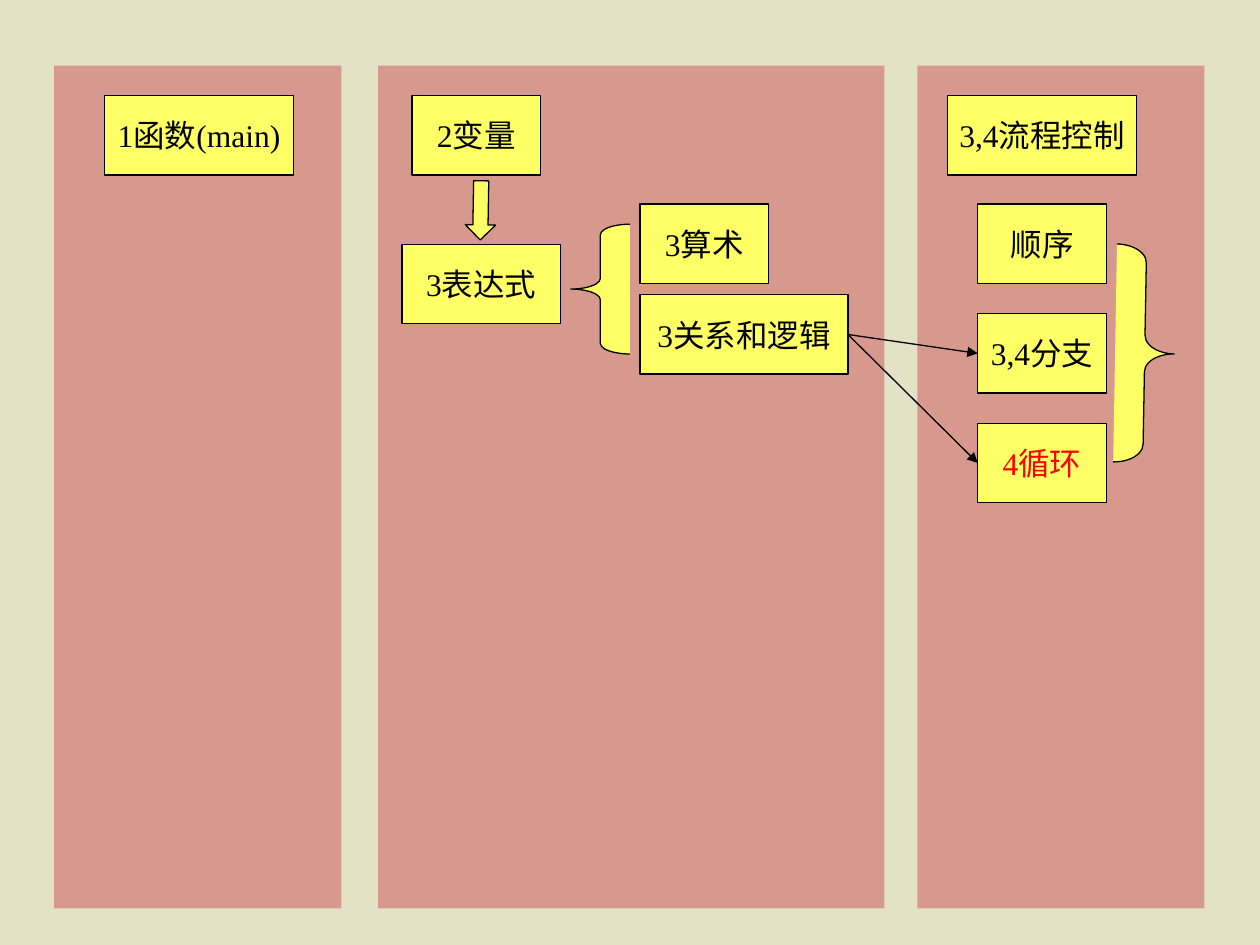
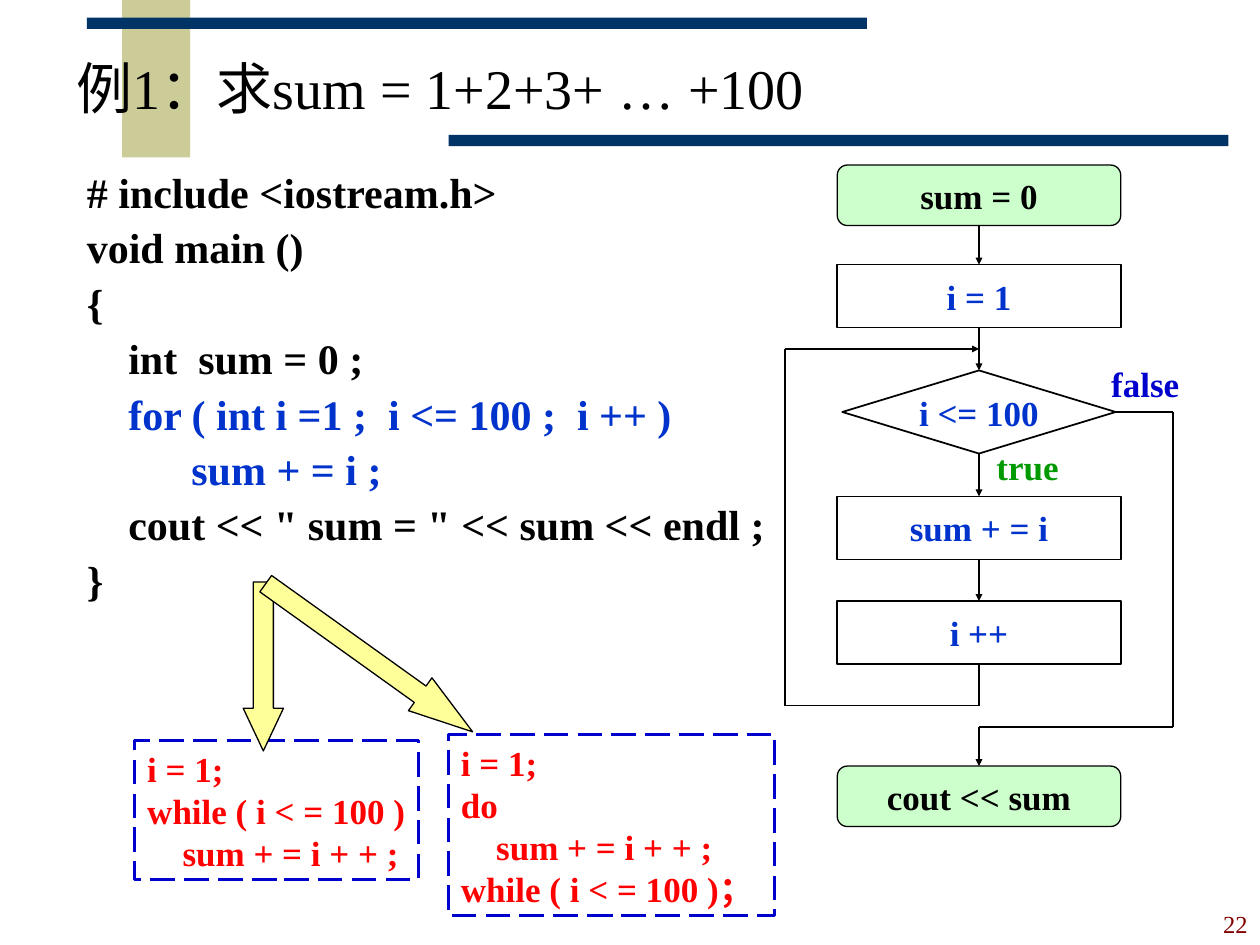
import dataclasses
import itertools

import pptx
import pptx.dml.color
import pptx.enum.dml
import pptx.enum.shapes
import pptx.enum.text
import pptx.oxml
import pptx.oxml.ns
import pptx.shapes.autoshape
import pptx.util

Inches = pptx.util.Inches
Pt = pptx.util.Pt
SHAPE = pptx.enum.shapes.MSO_SHAPE
ALIGN = pptx.enum.text.PP_ALIGN
ANCHOR = pptx.enum.text.MSO_ANCHOR


@dataclasses.dataclass(frozen=True)
class Theme:
    font: str = "Times New Roman"
    black: str = "000000"
    white: str = "FFFFFF"
    red: str = "FF0000"
    blue: str = "0033CC"
    dark_blue: str = "0000CC"
    green: str = "009900"
    maroon: str = "800000"
    map_background: str = "E3E2C7"
    panel: str = "D7998D"
    topic: str = "FFFF66"
    tan: str = "CCCC99"
    navy: str = "003366"
    mint: str = "CCFFCC"
    arrow: str = "FFFF99"
    title_size: int = 32
    code_size: int = 24
    flow_size: int = 20
    topic_size: int = 18
    number_size: int = 14
    thin: float = 0.75
    flow_line: float = 1
    dashed_line: float = 1.75


THEME = Theme()


def color(value):
    return pptx.dml.color.RGBColor.from_string(value)


# Text: each line is a string or a tuple (string, indent in inches, colour)
def write_text(shape, lines, *, size, ink=THEME.black, bold=False, align=ALIGN.LEFT,
               anchor=ANCHOR.MIDDLE, wrap=False, spacing=None):
    frame = shape.text_frame
    frame.word_wrap = wrap
    frame.vertical_anchor = anchor
    for index, line in enumerate(lines):
        text, indent, line_ink = (line, 0, ink) if isinstance(line, str) else line
        paragraph = frame.add_paragraph() if index else frame.paragraphs[0]
        paragraph.alignment = align
        if spacing:
            paragraph.line_spacing = spacing
        if indent:
            paragraph._p.get_or_add_pPr().set("marL", str(Inches(indent)))
        run = paragraph.add_run()
        run.text = text
        run.font.name = THEME.font
        run.font.size = Pt(size)
        run.font.bold = bold
        run.font.color.rgb = color(line_ink)


def add_text(slide, left, top, width, height, lines, **text_format):
    box = slide.shapes.add_textbox(Inches(left), Inches(top), Inches(width), Inches(height))
    write_text(box, lines, **text_format)


def add_shape(slide, kind, left, top, width, height, *, fill=None, line=THEME.black,
              line_width=THEME.thin, rotation=0, adjustments=()):
    shape = slide.shapes.add_shape(kind, Inches(left), Inches(top), Inches(width), Inches(height))
    shape.shadow.inherit = False
    shape.rotation = rotation
    for index, value in enumerate(adjustments):
        shape.adjustments[index] = value
    if fill:
        shape.fill.solid()
        shape.fill.fore_color.rgb = color(fill)
    else:
        shape.fill.background()
    if line:
        shape.line.color.rgb = color(line)
        shape.line.width = Pt(line_width)
    else:
        shape.line.fill.background()
    return shape


# Connectors: a stop is (x, y) in inches or (shape, connection site)
def add_line(slide, start, end, *, width, head_size, arrow=False):
    def is_joined(stop):
        return isinstance(stop[0], pptx.shapes.autoshape.Shape)

    begin_x, begin_y = (0, 0) if is_joined(start) else start
    end_x, end_y = (0, 0) if is_joined(end) else end
    line = slide.shapes.add_connector(
        pptx.enum.shapes.MSO_CONNECTOR.STRAIGHT,
        Inches(begin_x), Inches(begin_y), Inches(end_x), Inches(end_y))
    if is_joined(start):
        line.begin_connect(*start)
    if is_joined(end):
        line.end_connect(*end)
    line.line.color.rgb = color(THEME.black)
    line.line.width = Pt(width)
    if arrow:
        tail = pptx.oxml.parse_xml(
            f'<a:tailEnd {pptx.oxml.ns.nsdecls("a")} type="triangle" '
            f'w="{head_size}" len="{head_size}"/>')
        line.line._get_or_add_ln().append(tail)
    properties = line._element.spPr
    properties.append(pptx.oxml.parse_xml(f'<a:effectLst {pptx.oxml.ns.nsdecls("a")}/>'))


def add_route(slide, *stops, width=THEME.flow_line, head_size="sm"):
    legs = list(itertools.pairwise(stops))
    for index, (start, end) in enumerate(legs, 1):
        add_line(slide, start, end, width=width, head_size=head_size, arrow=index == len(legs))


def add_slide(presentation, background):
    slide = presentation.slides.add_slide(presentation.slide_layouts[6])
    slide.background.fill.solid()
    slide.background.fill.fore_color.rgb = color(background)
    return slide


# Slide 1: map of topics
def add_topic(slide, left, top, width, text, ink=THEME.black):
    box = add_shape(slide, SHAPE.RECTANGLE, left, top, width, 0.63, fill=THEME.topic)
    write_text(box, [text], size=THEME.topic_size, ink=ink, align=ALIGN.CENTER)
    return box


def build_topic_map(presentation):
    slide = add_slide(presentation, THEME.map_background)
    for left, width in ((0.43, 2.28), (3, 4.02), (7.28, 2.28)):
        add_shape(slide, SHAPE.RECTANGLE, left, 0.52, width, 6.69, fill=THEME.panel, line=None)

    # Column heads
    for left, width, text in ((0.83, 1.5, "1函数(main)"), (3.27, 1.02, "2变量"),
                              (7.52, 1.5, "3,4流程控制")):
        add_topic(slide, left, 0.76, width, text)

    # Expressions
    add_topic(slide, 3.19, 1.94, 1.26, "3表达式")
    add_shape(slide, SHAPE.RIGHT_ARROW, 3.58, 1.55, 0.47, 0.24, fill=THEME.topic,
              rotation=91, adjustments=(0.5, 0.5))
    add_topic(slide, 5.08, 1.62, 1.02, "3算术")
    logic = add_topic(slide, 5.08, 2.34, 1.65, "3关系和逻辑")
    add_shape(slide, SHAPE.LEFT_BRACE, 4.53, 1.78, 0.47, 1.03, fill=THEME.topic,
              adjustments=(0.18, 0.5))

    # Flow control
    controls = (("顺序", THEME.black), ("3,4分支", THEME.black), ("4循环", THEME.red))
    _, branch, loop = [add_topic(slide, 7.76, 1.62 + 0.87 * row, 1.02, text, ink)
                       for row, (text, ink) in enumerate(controls)]
    add_shape(slide, SHAPE.LEFT_BRACE, 8.85, 1.94, 0.47, 1.73, fill=THEME.topic,
              rotation=181, adjustments=(0.31, 0.5))
    for target in (branch, loop):
        add_route(slide, (logic, 3), (target, 1), width=THEME.thin, head_size="med")


# Slide 2: sum example
def add_title_bands(slide, title):
    for left, top, width, height, fill in ((0.97, 0, 0.54, 1.25, THEME.tan),
                                           (0.69, 0.14, 6.19, 0.09, THEME.navy),
                                           (3.56, 1.07, 6.19, 0.09, THEME.navy)):
        add_shape(slide, SHAPE.RECTANGLE, left, top, width, height, fill=fill, line=None)
    add_text(slide, 0.51, 0.36, 8.74, 0.74, [title], size=THEME.title_size,
             wrap=True, spacing=0.85)


def add_flowchart(slide):
    center = 7.77

    def add_step(kind, top, height, text, *, width=2.25, fill=THEME.white, ink=THEME.blue,
                 line_width=THEME.flow_line):
        step = add_shape(slide, kind, center - width / 2, top, width, height,
                         fill=fill, line_width=line_width)
        write_text(step, [text], size=THEME.flow_size, ink=ink, bold=True, align=ALIGN.CENTER)
        return step

    process = SHAPE.FLOWCHART_PROCESS
    terminal = SHAPE.FLOWCHART_ALTERNATE_PROCESS
    terminal_style = dict(fill=THEME.mint, ink=THEME.black, line_width=THEME.thin)
    start = add_step(terminal, 1.31, 0.48, "sum = 0", **terminal_style)
    first = add_step(process, 2.1, 0.5, "i = 1")
    test = add_step(SHAPE.FLOWCHART_DECISION, 2.94, 0.66, "i <= 100", width=2.17)
    add = add_step(process, 3.94, 0.5, "sum + = i")
    advance = add_step(process, 4.77, 0.5, "i ++")
    output = add_step(terminal, 6.08, 0.48, "cout << sum", **terminal_style)

    for upper, lower in itertools.pairwise((start, first, test, add, advance)):
        add_route(slide, (upper, 2), (lower, 0))
    # Loop back and exit
    add_route(slide, (advance, 2), (center, 5.6), (6.23, 5.6), (6.23, 2.77), (center, 2.77))
    add_route(slide, (test, 3), (9.31, 3.27), (9.31, 5.77), (center, 5.77), (output, 0))

    # Branch labels, with room to spare so that they stay on one line
    for left, top, text, ink in ((7.81, 3.49, "true", THEME.green),
                                 (8.72, 2.83, "false", THEME.dark_blue)):
        add_text(slide, left, top, 0.85, 0.44, [text], size=THEME.flow_size, ink=ink,
                 bold=True, anchor=ANCHOR.TOP, wrap=True)


def add_variant(slide, left, top, width, height, lines):
    box = add_shape(slide, SHAPE.RECTANGLE, left, top, width, height,
                    line=THEME.dark_blue, line_width=THEME.dashed_line)
    box.line.dash_style = pptx.enum.dml.MSO_LINE.LONG_DASH
    write_text(box, lines, size=THEME.flow_size, ink=THEME.red, bold=True)


def build_sum_example(presentation):
    slide = add_slide(presentation, THEME.white)
    add_title_bands(slide, "例1：求sum = 1+2+3+ … +100")

    # Program
    add_text(slide, 0.59, 1.23, 5.58, 3.62, [
        "# include <iostream.h>",
        "void main ()",
        "{",
        ("int  sum = 0 ;", 0.33, THEME.black),
        ("for ( int i =1 ;  i <= 100 ;  i ++ )", 0.33, THEME.blue),
        ("sum + = i ;", 0.83, THEME.blue),
        ('cout << " sum = " << sum << endl ;', 0.33, THEME.black),
        "}",
    ], size=THEME.code_size, bold=True, spacing=1.1)
    add_flowchart(slide)

    # Equivalent loops
    body = ("sum + = i + + ;", 0.28, THEME.red)
    add_variant(slide, 1.07, 5.88, 2.25, 1.1, ["i = 1;", "while ( i < = 100 )", body])
    add_shape(slide, SHAPE.DOWN_ARROW, 1.93, 4.62, 0.32, 1.34, fill=THEME.arrow,
              adjustments=(0.5, 1.06))
    add_variant(slide, 3.56, 5.83, 2.59, 1.44, ["i = 1;", "do", body, "while ( i < = 100 )；"])
    add_shape(slide, SHAPE.DOWN_ARROW, 2.77, 4.21, 0.32, 2.02, fill=THEME.arrow,
              rotation=305.6, adjustments=(0.5, 1.6))

    # Slide number
    add_text(slide, 6.63, 7, 3.37, 0.5, ["22"], size=THEME.number_size, ink=THEME.maroon,
             align=ALIGN.RIGHT, anchor=ANCHOR.BOTTOM, wrap=True)


def main():
    presentation = pptx.Presentation()
    presentation.slide_width = Inches(10)
    presentation.slide_height = Inches(7.5)
    build_topic_map(presentation)
    build_sum_example(presentation)
    presentation.save("out.pptx")


if __name__ == "__main__":
    main()
